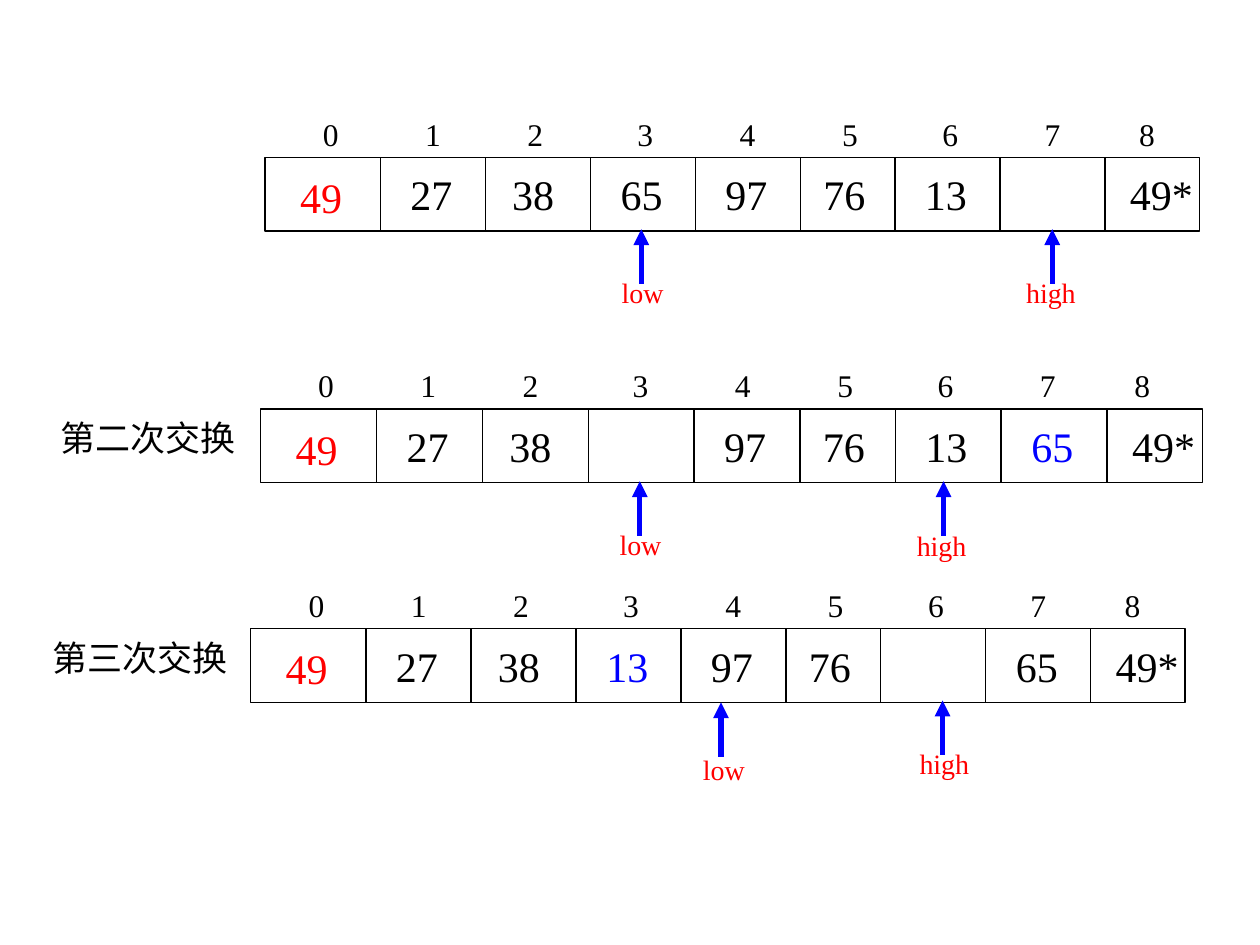
from itertools import accumulate

from lxml.etree import SubElement
from pptx import Presentation
from pptx.dml.color import RGBColor
from pptx.enum.shapes import MSO_CONNECTOR as Connector, MSO_SHAPE as Shape
from pptx.enum.text import MSO_AUTO_SIZE as AutoSize
from pptx.oxml.ns import qn
from pptx.util import Pt

COLORS = {"black": "000000", "white": "FFFFFF", "red": "FF0000", "blue": "0000FF"}
FONT = "Times New Roman"
CELL_WIDTHS = [66, 60, 60, 60, 60, 54, 60, 60, 54]
ROW_HEIGHT = 42
# Left offset and width of the value box in each cell
VALUE_BOXES = [(13, 41), (76, 41), (134.2, 44), (196.2, 41), (256, 41),
               (312, 41), (370, 41), (430.2, 41), (487.2, 52)]
INDEX_TABS = [13.3, 71.8, 130.2, 193, 251.5, 310, 367.3, 425.8, 479.7]

# Pointers: name, arrow x, arrow tip y, label left, label top
ROWS = [
    {"left": 151.4, "top": 90, "scale": 1, "caption": None, "moved": None,
     "values": ["49", "27", "38", "65", "97", "76", "13", "", "49*"],
     "pointers": [("low", 366.5, 131, 348.2, 154), ("high", 601.3, 131, 579.3, 154)]},
    {"left": 148.7, "top": 233.8, "scale": 1.008, "caption": ("第二次交换", 27.4), "moved": 7,
     "values": ["49", "27", "38", "", "97", "76", "13", "65", "49*"],
     "pointers": [("low", 365.6, 275, 347, 297.8), ("high", 539.2, 275, 516.8, 298.5)]},
    {"left": 143.2, "top": 359.3, "scale": 1, "caption": ("第三次交换", 23), "moved": 3,
     "values": ["49", "27", "38", "13", "97", "76", "", "65", "49*"],
     "pointers": [("low", 412, 401.4, 394.6, 426.4), ("high", 538.6, 400.3, 518.4, 423.2)]},
]


def add_text(shapes, text, left, top, width, height, size, color="black", wrap=False):
    box = shapes.add_textbox(Pt(left), Pt(top), Pt(width), Pt(height))
    frame = box.text_frame
    frame.text = text
    frame.word_wrap = wrap
    frame.auto_size = AutoSize.SHAPE_TO_FIT_TEXT
    for span in frame.paragraphs[0].runs:
        span.font.name = FONT
        span.font.size = Pt(size)
        span.font.color.rgb = RGBColor.from_string(COLORS[color])
    return box


def add_line(shapes, x1, y1, x2, y2, color, weight):
    line = shapes.add_connector(Connector.STRAIGHT, Pt(x1), Pt(y1), Pt(x2), Pt(y2))
    line.line.color.rgb = RGBColor.from_string(COLORS[color])
    line.line.width = Pt(weight)
    SubElement(line._element.spPr, qn("a:effectLst"))
    return line


deck = Presentation()
deck.slide_width, deck.slide_height = Pt(720), Pt(540)
page = deck.slides.add_slide(deck.slide_layouts[6])

for row in ROWS:
    shapes = page.shapes.add_group_shape().shapes
    left, top, scale = row["left"], row["top"], row["scale"]

    # Array frame and cell dividers
    frame = shapes.add_shape(Shape.RECTANGLE, Pt(left), Pt(top),
                             Pt(sum(CELL_WIDTHS) * scale), Pt(ROW_HEIGHT))
    frame.shadow.inherit = False
    frame.fill.solid()
    frame.fill.fore_color.rgb = RGBColor.from_string(COLORS["white"])
    frame.line.color.rgb = RGBColor.from_string(COLORS["black"])
    frame.line.width = Pt(0.75)
    for offset in accumulate(CELL_WIDTHS[:-1]):
        x = left + offset * scale
        add_line(shapes, x, top, x, top + ROW_HEIGHT, "black", 0.75)

    # Index numbers on centred tab stops
    index_text = "".join(f"\t{number}" for number in range(len(CELL_WIDTHS)))
    index_box = add_text(shapes, index_text, left + 17.2, top - 28, 500 * scale, 28.8, 18,
                         wrap=True)
    tab_list = SubElement(index_box.text_frame.paragraphs[0]._p.get_or_add_pPr(), qn("a:tabLst"))
    for position in INDEX_TABS:
        SubElement(tab_list, qn("a:tab"), pos=str(int(Pt(position))), algn="ctr")

    # Cell values: the pivot in red, the value just moved in blue
    for column, (value, (offset, width)) in enumerate(zip(row["values"], VALUE_BOXES)):
        if value:
            color = "red" if column == 0 else "blue" if column == row["moved"] else "black"
            drop = 4.4 if column == 0 else 3
            add_text(shapes, value, left + offset * scale, top + drop, width, 36, 24, color)

    # Caption beside the array
    if row["caption"]:
        caption, caption_left = row["caption"]
        add_text(shapes, caption, caption_left, top + 0.7, 115.5, 31, 20)

    # Low and high pointers
    for name, x, tip, label_left, label_top in row["pointers"]:
        width = 39 if name == "low" else 45
        add_text(shapes, name, label_left, label_top, width, 26.6, 16, "red")
        arrow = add_line(shapes, x, tip + 31, x, tip, "blue", 3)
        SubElement(arrow.line._get_or_add_ln(), qn("a:tailEnd"), type="triangle")

deck.save("out.pptx")
